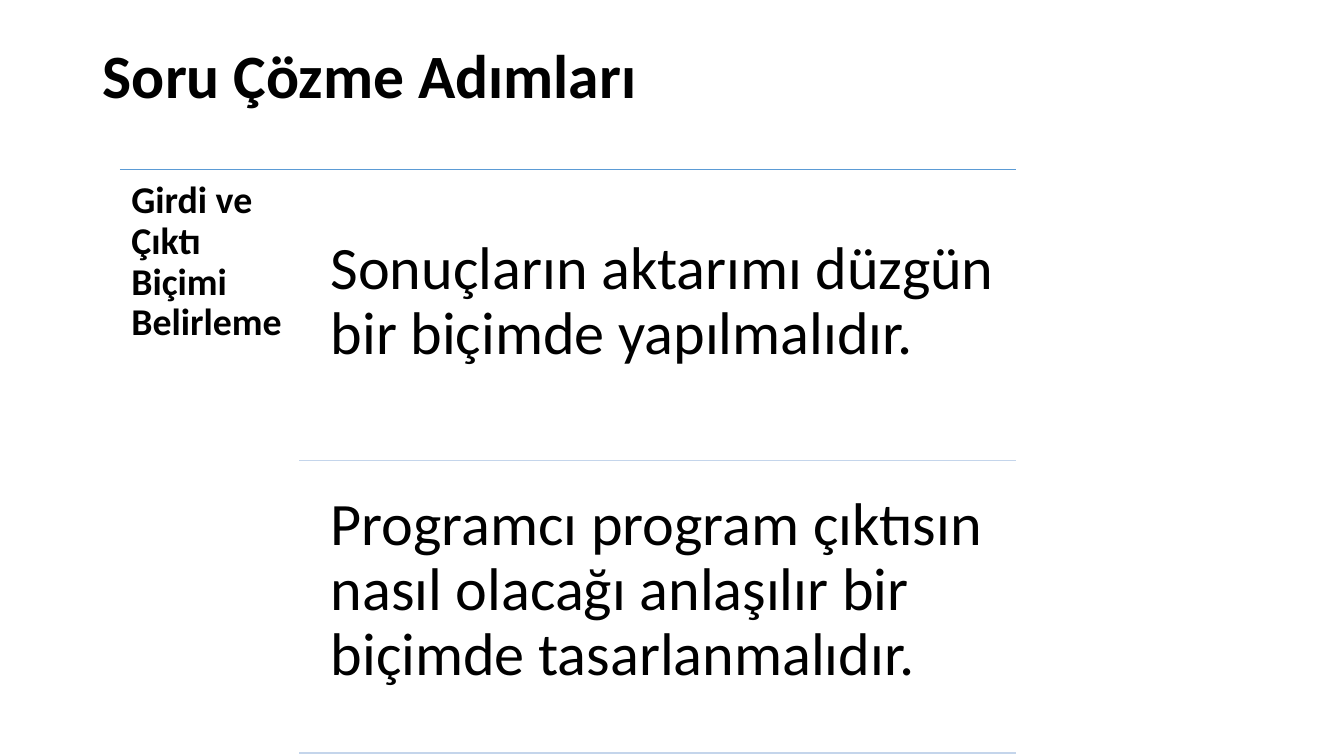
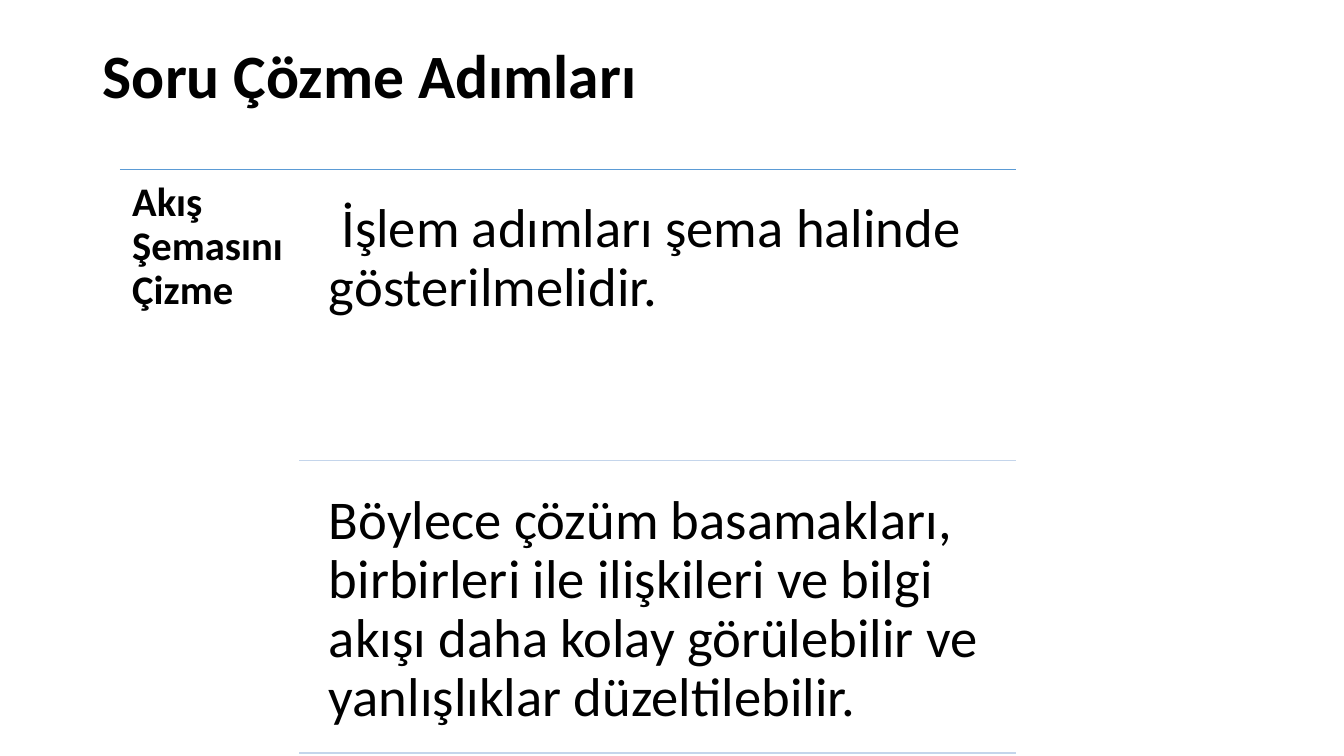
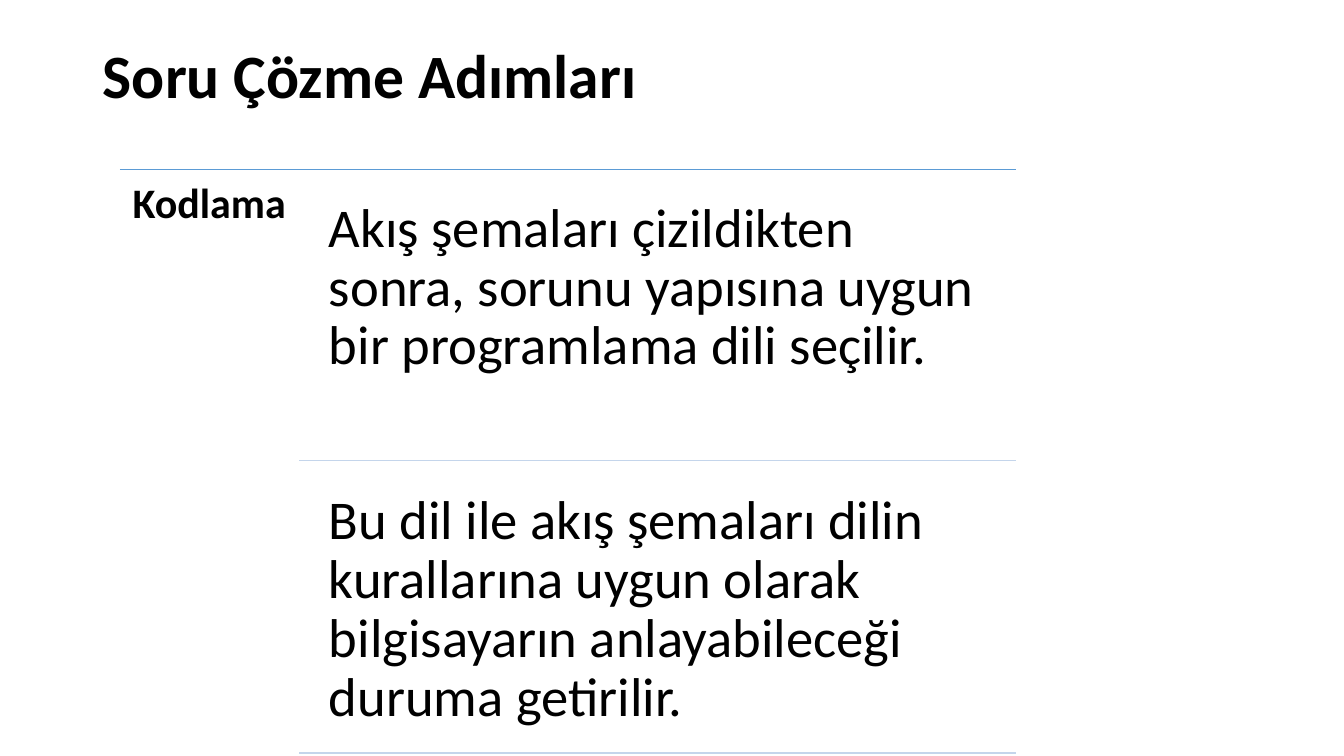
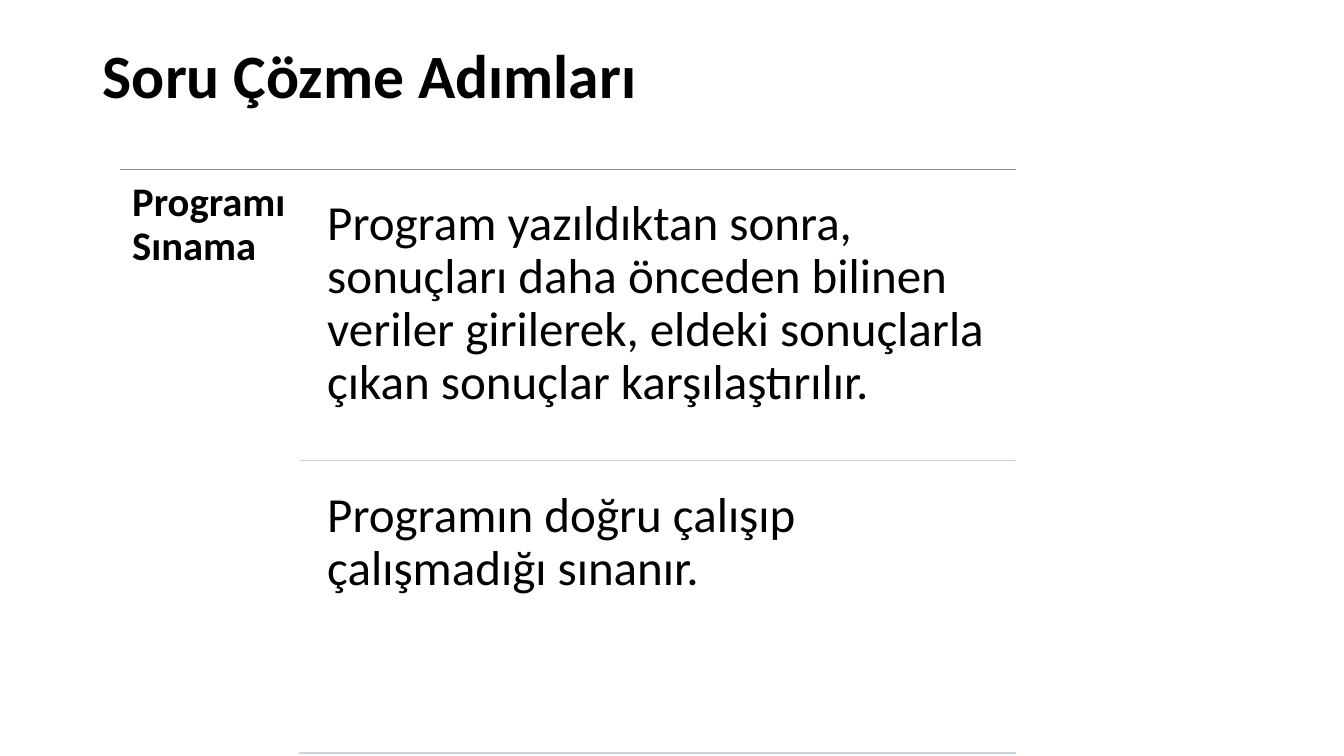
from dataclasses import dataclass

from lxml.etree import SubElement
from pptx import Presentation
from pptx.dml.color import RGBColor as RGB
from pptx.enum.shapes import MSO_CONNECTOR as Conn
from pptx.enum.text import MSO_ANCHOR as Anchor, MSO_AUTO_SIZE as Auto, PP_ALIGN as Align
from pptx.oxml.ns import qn
from pptx.util import Inches, Pt

TITLE = "Soru Çözme Adımları"

# Each step: label, label size, body size, top of the first text, texts
STEPS = [
    ("Girdi ve Çıktı Biçimi Belirleme", 27, 43, 2.18, [
        "Sonuçların aktarımı düzgün bir biçimde yapılmalıdır.",
        "Programcı program çıktısın nasıl olacağı anlaşılır bir biçimde "
        "tasarlanmalıdır.",
    ]),
    ("Akış Şemasını Çizme", 29, 39, 1.82, [
        " İşlem adımları şema halinde gösterilmelidir.",
        "Böylece çözüm basamakları, birbirleri ile ilişkileri ve bilgi akışı "
        "daha kolay görülebilir ve yanlışlıklar düzeltilebilir.",
    ]),
    ("Kodlama", 30, 39, 1.82, [
        "Akış şemaları çizildikten sonra, sorunu yapısına uygun bir "
        "programlama dili seçilir.",
        "Bu dil ile akış şemaları dilin kurallarına uygun olarak bilgisayarın "
        "anlayabileceği duruma getirilir.",
    ]),
    ("Programı Sınama", 29, 35, 1.82, [
        "Program yazıldıktan sonra, sonuçları daha önceden bilinen veriler "
        "girilerek, eldeki sonuçlarla çıkan sonuçlar karşılaştırılır.",
        "Programın doğru çalışıp çalışmadığı sınanır.",
    ]),
]


@dataclass(frozen=True)
class Theme:
    """Colours, type and line weight shared by all slides."""
    font: str = "Calibri"
    ink: str = "000000"
    rule: str = "5B9BD5"
    pale: str = "C4D5EB"
    title: int = 44
    lead: float = 0.9
    pad: float = 0.3  # text inset as a share of the type size
    line: int = 1


LOOK = Theme()

# Layout in inches
LEFT, RIGHT, TOP = 1.19, 10.08, 1.68
SIDE, DEEP = 1.78, 5.93         # label column
RULE_X, TEXT_X = 2.97, 3.1      # where the pale rules and the texts start
ROW, GAP, HIGH = 2.75, 0.14, 2.9


def write(shape, text, size, bold=False, pad=None):
    """Fill a shape with one formatted paragraph."""
    frame = shape.text_frame
    frame.word_wrap = True
    frame.auto_size = Auto.NONE
    frame.vertical_anchor = Anchor.TOP
    if pad is not None:
        frame.margin_left = frame.margin_right = pad
        frame.margin_top = frame.margin_bottom = pad
    para = frame.paragraphs[0]
    para.alignment = Align.LEFT
    para.line_spacing = LOOK.lead
    run = para.add_run()
    run.text = text
    font = run.font
    font.name, font.size, font.bold = LOOK.font, Pt(size), bold
    font.color.rgb = RGB.from_string(LOOK.ink)


def box(slide, text, size, left, top, wide, high, bold=False):
    """Add a text box whose inset follows the type size."""
    shape = slide.shapes.add_textbox(*map(Inches, (left, top, wide, high)))
    write(shape, text, size, bold=bold, pad=Pt(size * LOOK.pad))


def rule(slide, left, y, color):
    """Draw a flat horizontal rule to the right edge."""
    line = slide.shapes.add_connector(
        Conn.STRAIGHT, *map(Inches, (left, y, RIGHT, y)))
    line.line.color.rgb = RGB.from_string(color)
    line.line.width = Pt(LOOK.line)
    SubElement(line._element.spPr, qn("a:effectLst"))


def head(slide):
    """Place and format the title placeholder."""
    shape = slide.shapes.title
    shape.left, shape.top = Inches(0.92), Inches(0.4)
    shape.width, shape.height = Inches(11.5), Inches(1.45)
    write(shape, TITLE, LOOK.title, bold=True)


def build(deck, label, small, large, first, texts):
    """Add one step slide: label on the left, ruled texts on the right."""
    slide = deck.slides.add_slide(deck.slide_layouts[5])
    head(slide)
    rule(slide, LEFT, TOP, LOOK.rule)
    box(slide, label, small, LEFT, TOP, SIDE, DEEP, bold=True)
    for row, text in enumerate(texts):
        y = TOP + row * HIGH
        top = y + GAP if row else first
        box(slide, text, large, TEXT_X, top, RIGHT - TEXT_X, ROW)
        rule(slide, RULE_X, y + HIGH - 0.01, LOOK.pale)


deck = Presentation()
deck.slide_width, deck.slide_height = Inches(13.33), Inches(7.5)
for step in STEPS:
    build(deck, *step)
deck.save("out.pptx")
